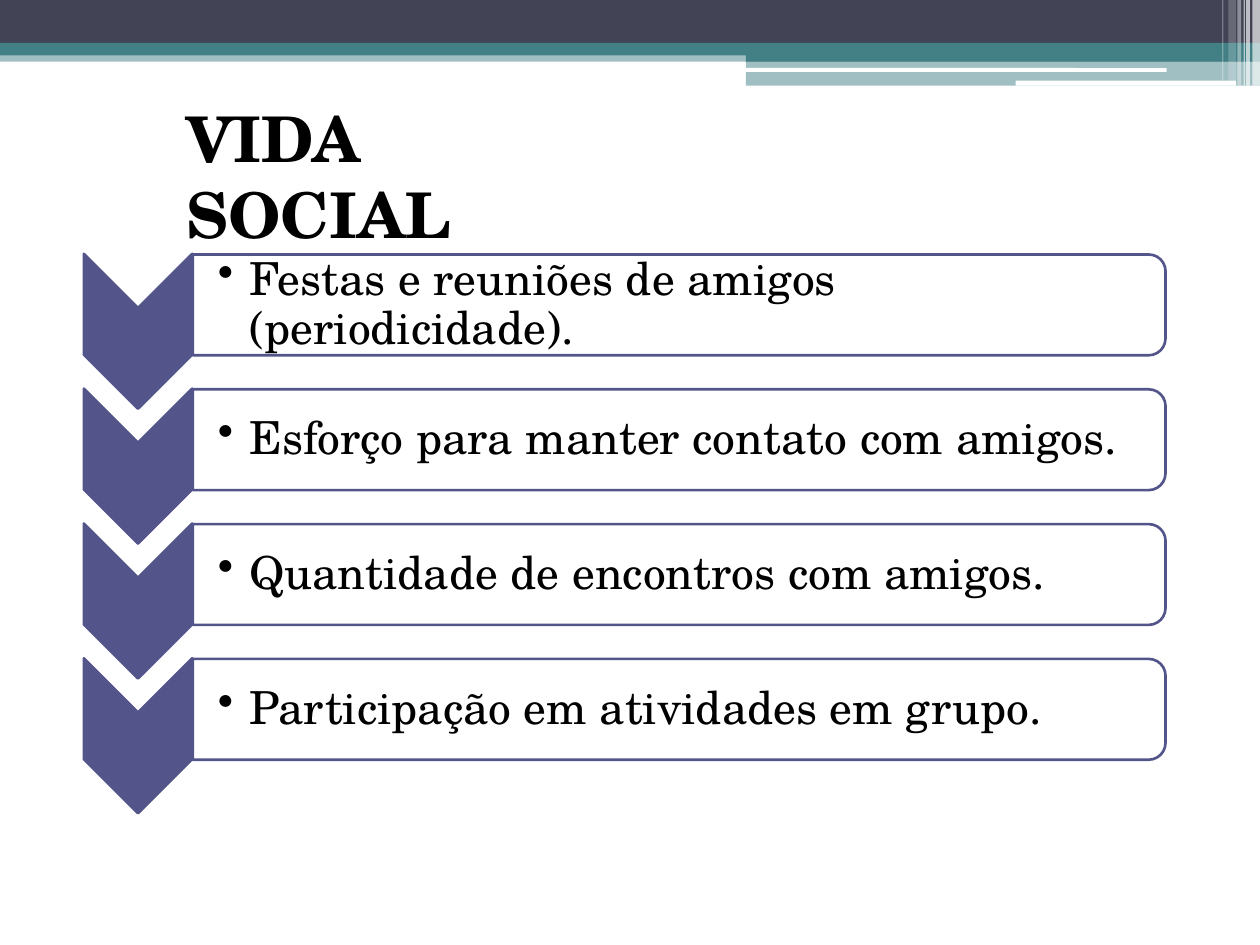
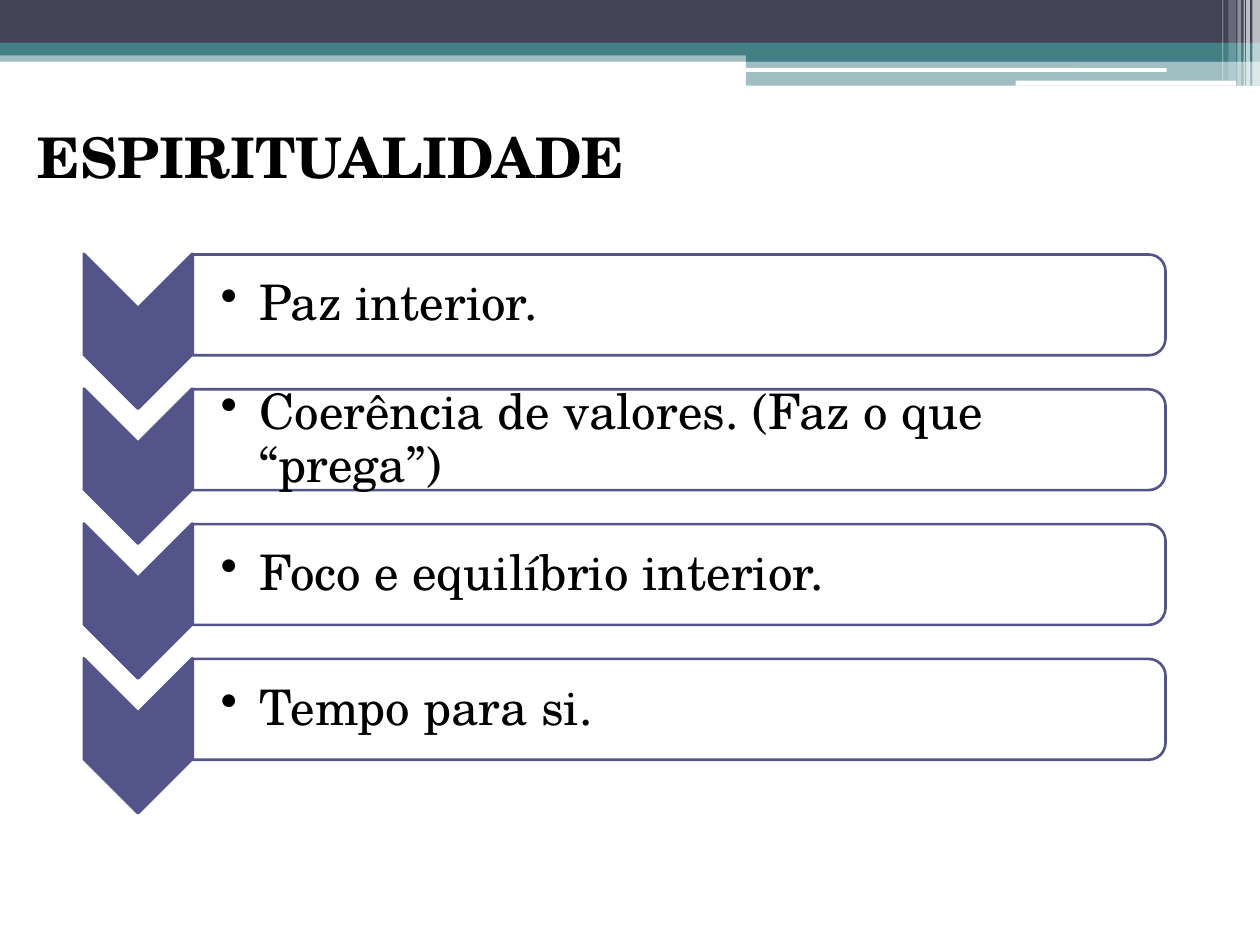
from dataclasses import dataclass
from typing import Optional

from lxml.etree import SubElement
from pptx import Presentation
from pptx.dml.color import RGBColor
from pptx.enum.shapes import MSO_SHAPE
from pptx.enum.text import MSO_ANCHOR
from pptx.oxml.ns import qn
from pptx.util import Inches, Pt

FONT = "TeX Gyre Schola"
NAVY, TEAL, INDIGO = "424456", "438086", "53548A"
WHITE, BLACK = "FFFFFF", "000000"
RECT, ROUNDED = MSO_SHAPE.RECTANGLE, MSO_SHAPE.ROUNDED_RECTANGLE

ROW_TOP, ROW_PITCH = 2.06, 1.07


@dataclass
class Band:
    left: float
    top: float
    width: float
    height: float
    color: str
    opacity: int = 100
    kind: MSO_SHAPE = RECT


@dataclass
class Title:
    text: str
    left: float
    top: float
    width: float
    height: float
    size: int


@dataclass
class Topic:
    title: Title
    items: list[str]
    size: int
    inset: float
    indent: float


# Header decoration, from back to front
BANDS = [
    Band(0, 0.4, 10, 0.09, TEAL, 50),
    Band(0, 0, 10, 0.34, NAVY),
    Band(0, 0.34, 10, 0.1, TEAL),
    Band(5.92, 0.39, 4.08, 0.1, TEAL),
    Band(5.92, 0.48, 4.08, 0.2, TEAL, 50),
    Band(5.91, 0.54, 3.35, 0.03, WHITE, kind=ROUNDED),
    Band(8.06, 0.64, 1.75, 0.04, WHITE, kind=ROUNDED),
    Band(9.94, 0, 0.06, 0.68, WHITE, 65),
    Band(9.89, 0, 0.03, 0.68, WHITE, 65),
    Band(9.87, 0, 0.01, 0.68, WHITE, 60),
    Band(9.82, 0, 0.03, 0.68, WHITE, 40),
    Band(9.75, 0, 0.06, 0.64, WHITE, 20),
    Band(9.7, 0, 0.01, 0.64, WHITE, 30),
]

TOPICS = [
    Topic(
        Title("VIDA SOCIAL", 1.38, 0.74, 3.7, 0.71, 36),
        [
            "Festas e reuniões de amigos (periodicidade).",
            "Esforço para manter contato com amigos.",
            "Quantidade de encontros com amigos.",
            "Participação em atividades em grupo.",
        ],
        size=26, inset=0.2, indent=0.25,
    ),
    Topic(
        Title("ESPIRITUALIDADE", 0.2, 0.92, 9.69, 0.64, 32),
        [
            "Paz interior.",
            "Coerência de valores. (Faz o que “prega”)",
            "Foco e equilíbrio interior.",
            "Tempo para si.",
        ],
        size=28, inset=0.22, indent=0.31,
    ),
]


def rgb(color: str) -> RGBColor:
    return RGBColor.from_string(color)


def add_box(shapes, kind: MSO_SHAPE, left: float, top: float, width: float,
            height: float, color: str, opacity: int = 100,
            line: Optional[str] = None, rotation: int = 0):
    sp = shapes.add_shape(kind, Inches(left), Inches(top), Inches(width), Inches(height))
    sp.shadow.inherit = False
    sp.rotation = rotation
    sp.fill.solid()
    sp.fill.fore_color.rgb = rgb(color)
    if opacity < 100:
        clr = sp.fill._xPr.find(qn("a:solidFill"))[0]
        SubElement(clr, qn("a:alpha")).set("val", str(opacity * 1000))
    if line:
        sp.line.color.rgb = rgb(line)
        sp.line.width = Pt(1.5)
    else:
        sp.line.fill.background()
    return sp


def add_text(shapes, text: str, left: float, top: float, width: float,
             height: float):
    tf = shapes.add_textbox(Inches(left), Inches(top), Inches(width),
                            Inches(height)).text_frame
    tf.word_wrap = True
    tf.text = text
    return tf


def style_run(tf, size: int, bold: bool = False) -> None:
    font = tf.paragraphs[0].runs[0].font
    font.name, font.size, font.bold = FONT, Pt(size), bold
    font.color.rgb = rgb(BLACK)


def add_bullet(p, indent: float) -> None:
    pPr = p._p.get_or_add_pPr()
    pPr.set("marL", str(Inches(indent)))
    pPr.set("indent", str(-Inches(indent)))
    SubElement(pPr, qn("a:buChar")).set("char", "•")


def add_row(shapes, text: str, top: float, topic: Topic) -> None:
    # Both shapes are turned a quarter, so their boxes stand upright
    add_box(shapes, MSO_SHAPE.CHEVRON, 0.48, top + 0.14, 1.23, 0.86,
            INDIGO, line=INDIGO, rotation=90)
    add_box(shapes, MSO_SHAPE.ROUND_2_SAME_RECTANGLE, 4.99, top - 3.5, 0.8, 7.72,
            WHITE, 90, line=INDIGO, rotation=90)
    tf = add_text(shapes, text, 1.53, top, 7.68, 0.72)
    tf.vertical_anchor = MSO_ANCHOR.MIDDLE
    tf.margin_left = Inches(topic.inset)
    tf.margin_top = tf.margin_right = tf.margin_bottom = Inches(0.02)
    p = tf.paragraphs[0]
    add_bullet(p, topic.indent)
    p.line_spacing = 0.9
    style_run(tf, topic.size)


def add_topic_slide(prs, topic: Topic) -> None:
    s = prs.slides.add_slide(prs.slide_layouts[6])
    for b in BANDS:
        add_box(s.shapes, b.kind, b.left, b.top, b.width, b.height, b.color, b.opacity)
    # Title
    t = topic.title
    tf = add_text(s.shapes, t.text, t.left, t.top, t.width, t.height)
    style_run(tf, t.size, bold=True)
    # Chevron list
    rows = s.shapes.add_group_shape().shapes
    for i, item in enumerate(topic.items):
        add_row(rows, item, ROW_TOP + i * ROW_PITCH, topic)


def main() -> None:
    prs = Presentation()
    prs.slide_width, prs.slide_height = Inches(10), Inches(7.5)
    for topic in TOPICS:
        add_topic_slide(prs, topic)
    prs.save("out.pptx")


if __name__ == "__main__":
    main()
